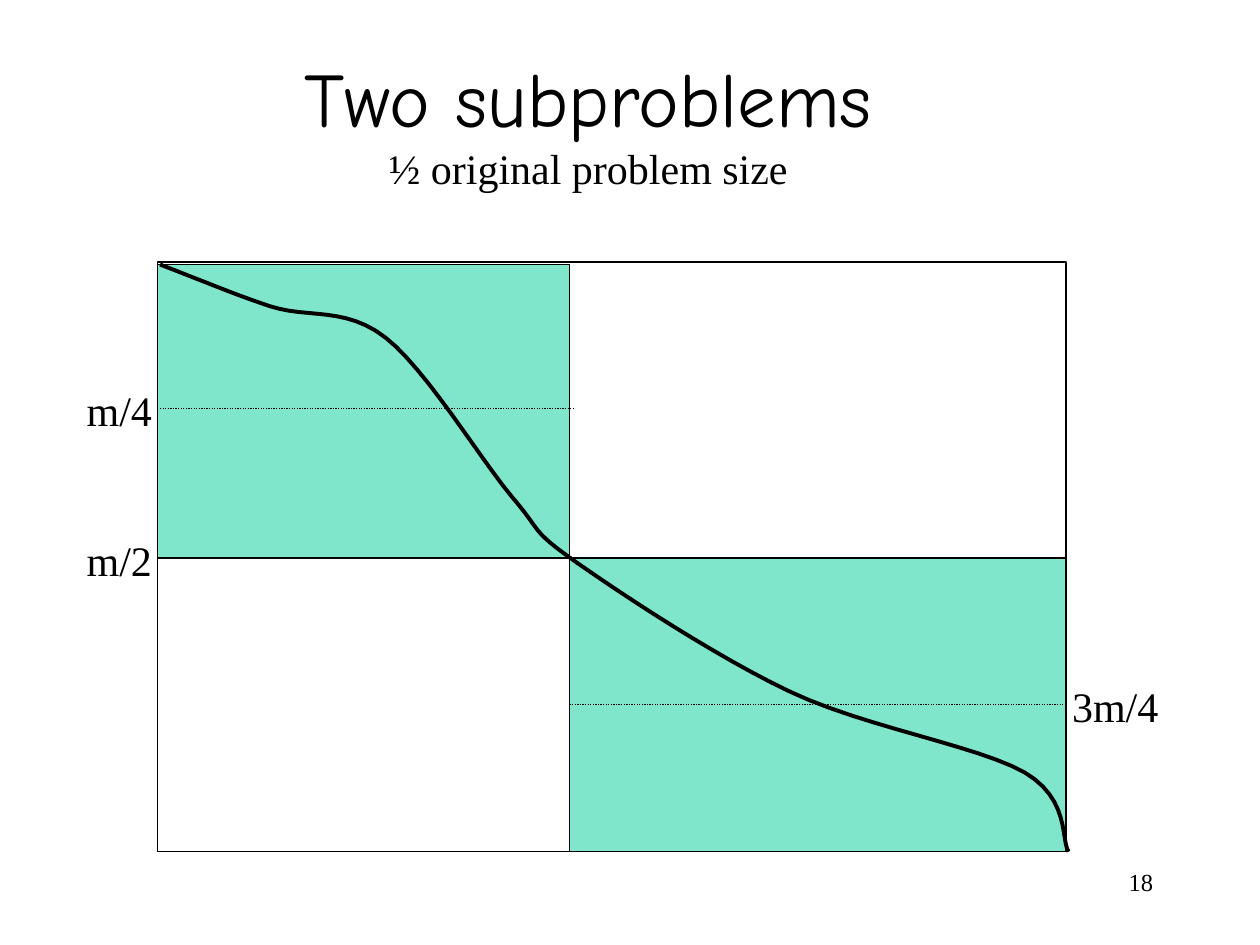
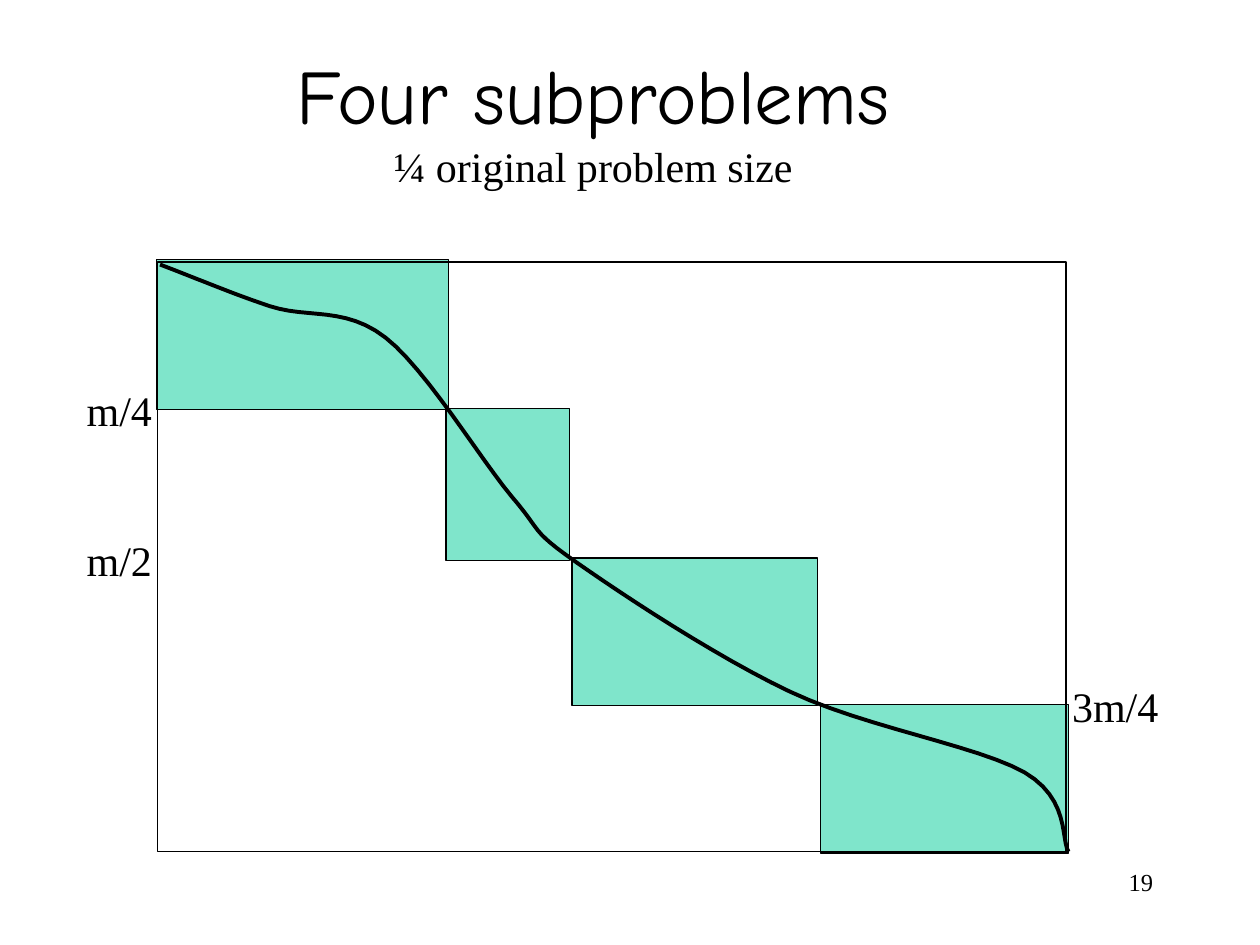
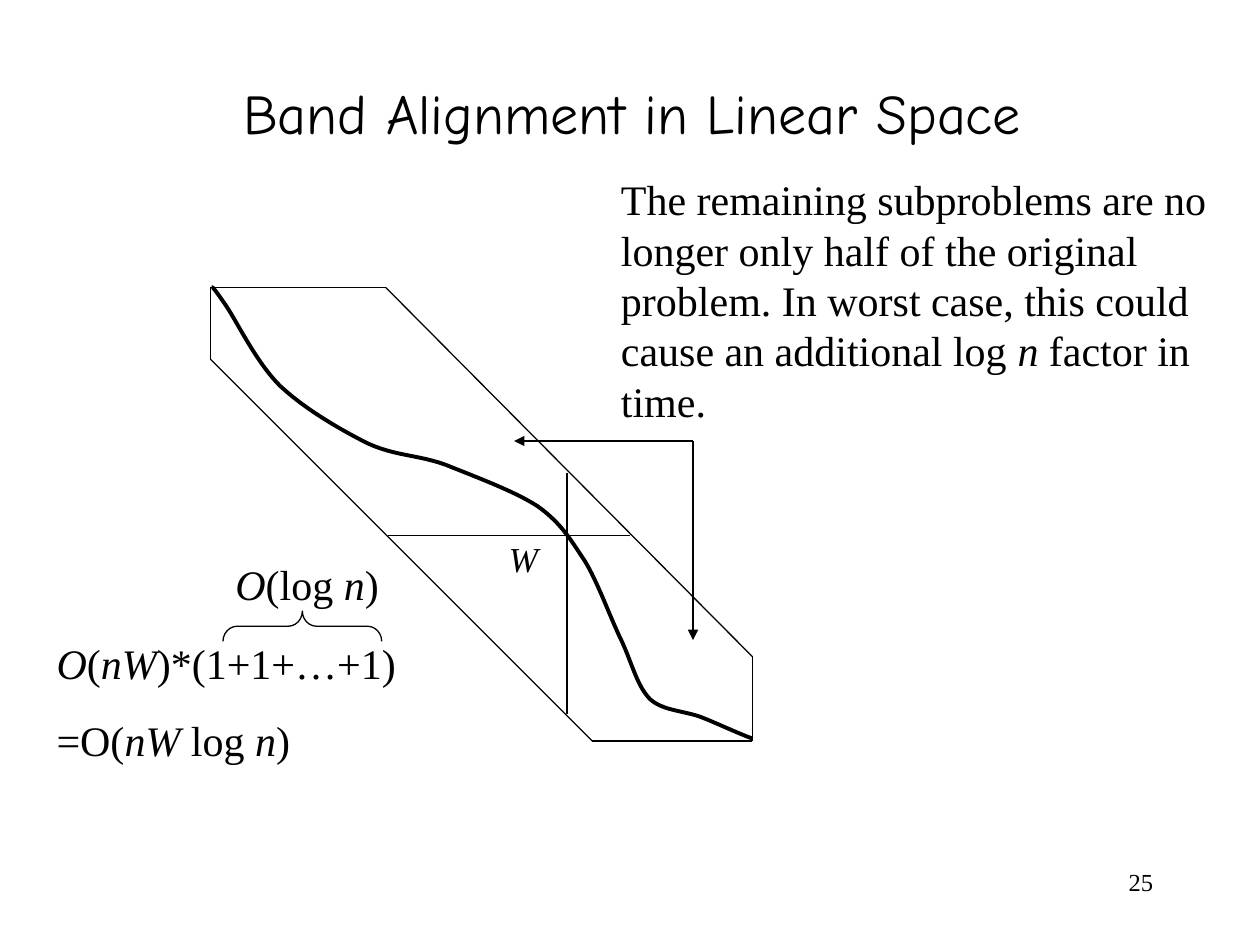
import dataclasses
import itertools
import pptx
import pptx.dml.color
import pptx.enum.dml
import pptx.enum.shapes
import pptx.enum.text
import pptx.oxml
import pptx.oxml.ns
import pptx.util

ALIGN = pptx.enum.text.PP_ALIGN
SHAPE = pptx.enum.shapes.MSO_SHAPE


@dataclasses.dataclass(frozen=True)
class Theme:
    ink: str = "000000"
    block: str = "00CC99"
    block_alpha: int = 50
    title_font: str = "Comic Neue"
    text_font: str = "Times New Roman"
    big_title: int = 44
    title: int = 32
    text: int = 24
    label: int = 20
    number: int = 14
    gap: int = 15
    thin: float = 0.75
    thick: float = 2.25


class Deck:
    columns, rows = 100, 75
    curve_steps = 12

    def __init__(self, prs, theme):
        self.prs, self.theme = prs, theme
        self.slide = None

    def x(self, columns):
        return round(self.prs.slide_width * columns / self.columns)

    def y(self, rows):
        return round(self.prs.slide_height * rows / self.rows)

    def box(self, left, top, width, height):
        return self.x(left), self.y(top), self.x(width), self.y(height)

    def point(self, xy):
        return self.x(xy[0]), self.y(xy[1])

    def color(self, value):
        return pptx.dml.color.RGBColor.from_string(value)

    def style_font(self, font, name, size):
        font.name, font.size = name, pptx.util.Pt(size)
        font.color.rgb = self.color(self.theme.ink)

    def style_line(self, line, width):
        line.color.rgb = self.color(self.theme.ink)
        line.width = pptx.util.Pt(width)

    def new_slide(self, number):
        self.slide = self.prs.slides.add_slide(self.prs.slide_layouts[5])
        self.text([str(number)], (71.7, 68.3, 20.8, 5), self.theme.number, ALIGN.RIGHT)

    def title(self, text, box, size, subtitle=None, align=ALIGN.CENTER):
        s = self.slide.shapes.title
        s.left, s.top, s.width, s.height = self.box(*box)
        tf = s.text_frame
        tf.auto_size = pptx.enum.text.MSO_AUTO_SIZE.NONE
        tf.vertical_anchor = pptx.enum.text.MSO_ANCHOR.TOP
        p = tf.paragraphs[0]
        p.alignment = align
        r = p.add_run()
        r.text = text
        self.style_font(r.font, self.theme.title_font, size)
        if subtitle:
            p.add_line_break()
            r = p.add_run()
            r.text = subtitle
            self.style_font(r.font, self.theme.text_font, self.theme.text)

    def text(self, paragraphs, box, size=None, align=ALIGN.LEFT, wrap=True):
        tf = self.slide.shapes.add_textbox(*self.box(*box)).text_frame
        tf.word_wrap = wrap
        for i, marked in enumerate(paragraphs):
            p = tf.add_paragraph() if i else tf.paragraphs[0]
            p.alignment = align
            if i:
                p.space_before = pptx.util.Pt(self.theme.gap)
            self.style_font(p.font, self.theme.text_font, size or self.theme.text)
            for j, part in enumerate(marked.split("_")):
                if part:
                    r = p.add_run()
                    r.text = part
                    if j % 2:
                        r.font.italic = True

    def shape(self, kind, box, filled=False):
        s = self.slide.shapes.add_shape(kind, *self.box(*box))
        s.shadow.inherit = False
        if filled:
            s.fill.solid()
            s.fill.fore_color.rgb = self.color(self.theme.block)
            rgb = s._element.spPr.find(".//" + pptx.oxml.ns.qn("a:srgbClr"))
            alpha = pptx.oxml.parse_xml(
                f'<a:alpha {pptx.oxml.ns.nsdecls("a")} val="{self.theme.block_alpha * 1000}"/>')
            rgb.append(alpha)
        else:
            s.fill.background()
        self.style_line(s.line, self.theme.thin)
        return s

    def line(self, start, end, dotted=False, arrow=False):
        c = self.slide.shapes.add_connector(
            pptx.enum.shapes.MSO_CONNECTOR.STRAIGHT, *self.point(start), *self.point(end))
        self.style_line(c.line, self.theme.thin)
        if dotted:
            c.line.dash_style = pptx.enum.dml.MSO_LINE.ROUND_DOT
        ns = pptx.oxml.ns.nsdecls("a")
        if arrow:
            c.line._get_or_add_ln().append(pptx.oxml.parse_xml(f'<a:tailEnd {ns} type="triangle"/>'))
        c._element.spPr.append(pptx.oxml.parse_xml(f"<a:effectLst {ns}/>"))

    def curve(self, start, segments):
        points, p0 = [], start
        for a, b, c, d, e, f in segments:
            for step in range(1, self.curve_steps + 1):
                t = step / self.curve_steps
                u = 1 - t
                points.append(self.point([
                    u**3 * q0 + 3 * u * u * t * q1 + 3 * u * t * t * q2 + t**3 * q3
                    for q0, q1, q2, q3 in zip(p0, (a, b), (c, d), (e, f))]))
            p0 = (e, f)
        builder = self.slide.shapes.build_freeform(*self.point(start), scale=1.0)
        builder.add_line_segments(points, close=False)
        s = builder.convert_to_shape()
        s.shadow.inherit = False
        s.fill.background()
        self.style_line(s.line, self.theme.thick)


MATRIX_PATH = (12.7, 21), [
    (15.6, 22.1, 18.4, 23.3, 21.4, 24.3), (24.4, 25.3, 27.4, 24.3, 30.6, 26.8),
    (33.8, 29.3, 38.1, 36.4, 40.6, 39.4), (43.1, 42.3, 42, 42, 45.7, 44.6),
    (49.4, 47.2, 56.8, 52.1, 62.7, 54.9), (68.6, 57.7, 77.6, 59.2, 81.3, 61.3),
    (84.9, 63.4, 84.2, 66.6, 84.8, 67.6)]
BAND_PATH = (16.8, 22.8), [
    (16.9, 22.8, 17, 22.9, 17.9, 24.2), (18.8, 25.5, 20.3, 28.7, 22.2, 30.6),
    (24.1, 32.4, 27, 34.1, 29.2, 35.2), (31.4, 36.2, 33.2, 36.1, 35.4, 36.9),
    (37.6, 37.8, 40.9, 39, 42.7, 40.2), (44.5, 41.5, 45.2, 42.7, 46.4, 44.5),
    (47.5, 46.3, 48.5, 49.2, 49.4, 51), (50.2, 52.8, 50.6, 54.5, 51.6, 55.5),
    (52.6, 56.4, 54.2, 56.4, 55.6, 56.9), (56.9, 57.4, 59, 58.4, 59.7, 58.6)]
BAND_CORNERS = [(16.7, 22.8), (30.6, 22.8), (59.7, 52.1), (59.7, 58.8), (47, 58.8), (16.7, 28.5)]


def matrix_slide(deck, number, title, subtitle, title_box, blocks, dividers=()):
    deck.new_slide(number)
    deck.title(title, title_box, deck.theme.big_title, subtitle)
    for block in blocks:
        deck.shape(SHAPE.RECTANGLE, block, filled=True)
    deck.shape(SHAPE.RECTANGLE, (12.5, 20.8, 72.1, 46.8))
    for start, end, dotted in dividers:
        deck.line(start, end, dotted)
    deck.curve(*MATRIX_PATH)
    for label, left, top, width in (
            ("m/2", 5.9, 41.9, 10.6), ("m/4", 5.9, 30, 7.6), ("3m/4", 84.1, 53.5, 13.8)):
        deck.text([label], (left, top, width, 5))


def band_slide(deck):
    deck.new_slide(25)
    deck.title("Band Alignment in Linear Space", (18.3, 5.7, 70.1, 6.4),
               deck.theme.title, align=ALIGN.LEFT)
    for start, end in itertools.pairwise(BAND_CORNERS + BAND_CORNERS[:1]):
        deck.line(start, end)
    deck.curve(*BAND_PATH)
    deck.line((30.8, 42.5), (50, 42.5))
    deck.line((45, 37.5), (45, 56.7))
    for subproblem in ((40.8, 35), (55, 50.8)):
        deck.line((55, 35), subproblem, arrow=True)
    deck.text(["The remaining subproblems are no longer only half of the original problem. "
               "In worst case, this could cause an additional log _n_ factor in time."],
              (48.3, 13.3, 49.2, 21))
    deck.text(["_O_(_nW_)*(1+1+…+1)", "=O(_nW_ log _n_)"], (3.5, 50.1, 29.9, 11.1))
    brace = deck.shape(SHAPE.RIGHT_BRACE, (22.8, 43.4, 2.4, 12.6))
    brace.adjustments[0] = 0.47
    brace.rotation = 270
    deck.text(["_O_(log _n_)"], (17.7, 43.8, 14.2, 5))
    deck.text(["_W_"], (39.4, 42.2, 4.3, 4.4), deck.theme.label, wrap=False)


def main():
    prs = pptx.Presentation()
    prs.slide_width, prs.slide_height = pptx.util.Inches(10), pptx.util.Inches(7.5)
    deck = Deck(prs, Theme())
    matrix_slide(
        deck, 18, "Two subproblems", "½ original problem size", (12.9, 3.5, 67.6, 12.4),
        [(45.2, 44.3, 39.4, 23.3), (12.5, 21, 32.7, 23.3)],
        [((12.7, 44.3), (84.4, 44.3), False), ((12.7, 32.4), (45.6, 32.4), True),
         ((45.2, 55.9), (84.6, 55.9), True)])
    matrix_slide(
        deck, 19, "Four subproblems", "¼ original problem size", (13.3, 3.3, 67.6, 18.4),
        [(65.1, 55.9, 19.7, 11.8), (45.4, 44.3, 19.5, 11.7),
         (35.4, 32.4, 9.8, 12.1), (12.4, 20.6, 23.2, 11.9)])
    band_slide(deck)
    prs.save("out.pptx")


if __name__ == "__main__":
    main()
